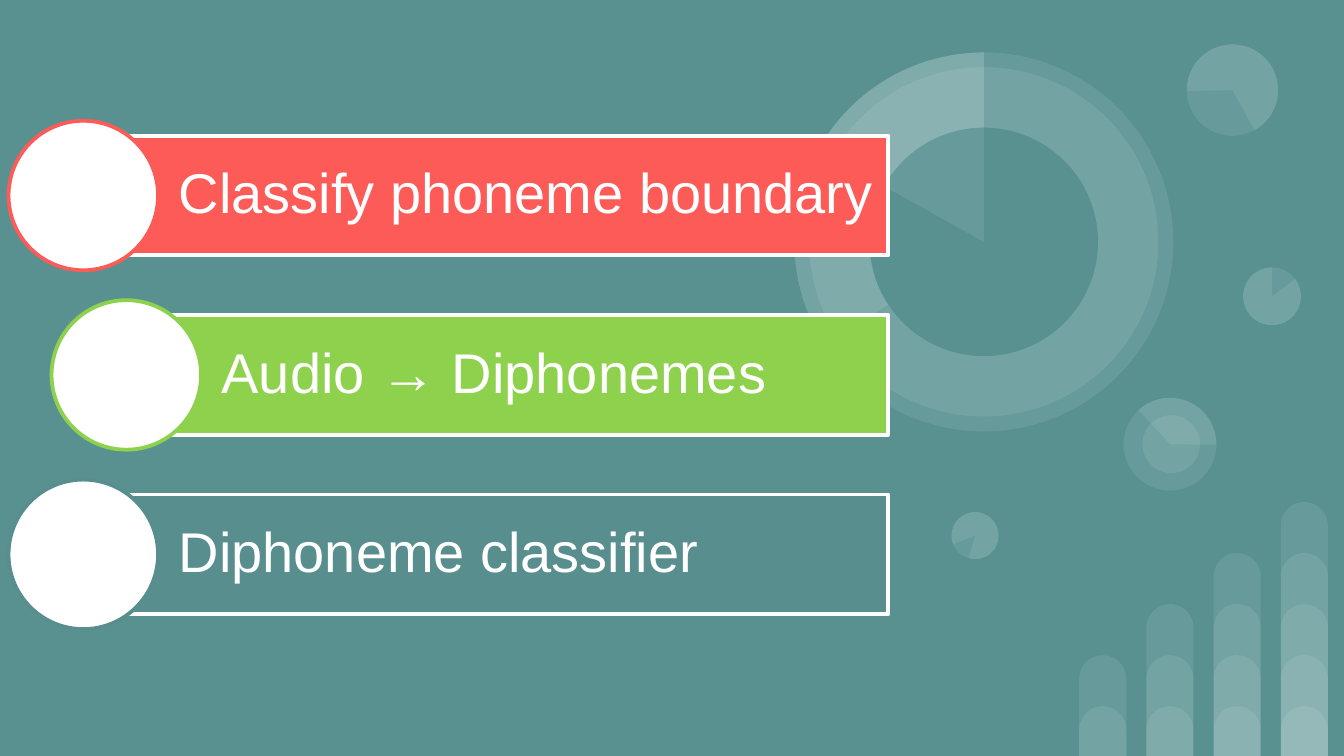
import dataclasses

import pptx
import pptx.dml.color
import pptx.enum.shapes
import pptx.enum.text
import pptx.oxml.ns
import pptx.util
from lxml import etree

Inches = pptx.util.Inches
Shape = pptx.enum.shapes.MSO_SHAPE

PAGE_WIDTH = 10
PAGE_HEIGHT = PAGE_WIDTH * 9 / 16


@dataclasses.dataclass(frozen=True)
class Theme:
    background: str = "599191"
    white: str = "FFFFFF"
    red: str = "FC5B58"
    green: str = "8ED14C"
    teal: str = "598E8E"
    font: str = "Arial"
    text_size: int = 30
    line_width: int = 2
    veil: int = 9  # percent opacity of the decoration


THEME = Theme()


def rgb(color):
    return pptx.dml.color.RGBColor.from_string(color)


def add_figure(page, kind, box, fill, line=None, opacity=None, angles=(), turn=0):
    """Add a preset shape in box = (left, top, width, height)."""
    figure = page.shapes.add_shape(kind, *map(Inches, box))
    figure.shadow.inherit = False
    figure.rotation = turn
    for index, value in enumerate(angles):
        figure.adjustments[index] = value
    figure.fill.solid()
    figure.fill.fore_color.rgb = rgb(fill)
    if opacity is not None:
        color = figure.fill._xPr.find(".//" + pptx.oxml.ns.qn("a:srgbClr"))
        alpha = etree.SubElement(color, pptx.oxml.ns.qn("a:alpha"))
        alpha.set("val", str(opacity * 1000))
    if line:
        figure.line.color.rgb = rgb(line)
        figure.line.width = pptx.util.Pt(THEME.line_width)
    else:
        figure.line.fill.background()
    return figure


def write_text(figure, text, *, size, color, font, left_inset, inset, spacing):
    frame = figure.text_frame
    frame.word_wrap = True
    frame.vertical_anchor = pptx.enum.text.MSO_ANCHOR.MIDDLE
    frame.margin_left = Inches(left_inset)
    frame.margin_top = frame.margin_right = frame.margin_bottom = Inches(inset)
    para = frame.paragraphs[0]
    para.alignment = pptx.enum.text.PP_ALIGN.LEFT
    para.line_spacing = spacing
    span = para.add_run()
    span.text = text
    span.font.size = pptx.util.Pt(size)
    span.font.name = font
    span.font.color.rgb = rgb(color)


def add_veil(page, kind, box, angles=(), turn=0):
    """Add a translucent white decoration."""
    add_figure(page, kind, box, THEME.white, opacity=THEME.veil,
               angles=angles, turn=turn)


def add_columns(page, box):
    """Stacked round-topped columns, each one step taller than the last."""
    left, top, width, height = box
    column_width, first, step = 0.35, 0.37, 0.38
    pitch = (width - column_width) / 3
    for column in range(4):
        for level in range(column + 2):
            tall = first + level * step
            add_veil(page, Shape.ROUND_2_SAME_RECTANGLE,
                     (left + column * pitch, top + height - tall, column_width, tall),
                     angles=(0.5, 0))


def add_sector(page, box, angles, turn=0):
    # Angle adjustments are in 60000ths of a degree, scaled by 100000
    add_veil(page, Shape.PIE, box, [angle * 0.6 for angle in angles], turn)


def add_dial(page, box, angles, turn=0):
    """A disc with a pie sector over it; angles are degrees."""
    add_veil(page, Shape.OVAL, box, turn=turn)
    add_sector(page, box, angles, turn)


def shrink(box, margin):
    left, top, width, height = box
    return left + margin, top + margin, width - 2 * margin, height - 2 * margin


def add_ring(page, box):
    """Large ring with two sectors, one of them crossing the hole."""
    add_veil(page, Shape.OVAL, box)
    add_veil(page, Shape.OVAL, shrink(box, 0.11))
    add_sector(page, box, (146.69, 270))
    add_figure(page, Shape.OVAL, shrink(box, 0.56), THEME.background)
    add_sector(page, box, (209.24, 270))


def add_dials(page, box):
    """Small dials scattered around the ring."""
    left, top = box[:2]
    for x, y, size, angles, turn in (
        (3.34, 1.66, 0.43, (322.95, 270), 0),
        (1.17, 3.48, 0.35, (322.95, 270), 196.2),
        (2.45, 2.63, 0.69, (137.41, 270.77), 90),
        (2.92, 0, 0.68, (322.95, 205.23), 215.9),
    ):
        add_dial(page, (left + x, top + y, size, size), angles, turn)
    # Inner disc of the middle dial
    add_veil(page, Shape.OVAL, (left + 2.59, top + 2.76, 0.43, 0.43), turn=90)


def add_step(page, box, text, color):
    """A labelled bar with a circle centred on its left edge."""
    left, top, width, height = box
    bar = add_figure(page, Shape.RECTANGLE, box, color, line=THEME.white)
    write_text(bar, text, size=THEME.text_size, color=THEME.white, font=THEME.font,
               left_inset=0.71, inset=0.08, spacing=0.9)
    size = height * 1.25
    add_figure(page, Shape.OVAL,
               (left - size / 2, top + (height - size) / 2, size, size),
               THEME.white, line=color)


def add_steps(page, box):
    """Evenly spaced bars that share a right edge."""
    left, top, width, height = box
    steps = (
        ("Classify phoneme boundary", THEME.red, 0),
        ("Audio → Diphonemes", THEME.green, 0.32),
        ("Diphoneme classifier", THEME.teal, 0),
    )
    bar_height = 0.89
    pitch = (height - bar_height) / (len(steps) - 1)
    for index, (text, color, indent) in enumerate(steps):
        add_step(page, (left + indent, top + index * pitch, width - indent, bar_height),
                 text, color)


def main():
    deck = pptx.Presentation()
    deck.slide_width, deck.slide_height = Inches(PAGE_WIDTH), Inches(PAGE_HEIGHT)
    page = deck.slides.add_slide(deck.slide_layouts[6])
    page.background.fill.solid()
    page.background.fill.fore_color.rgb = rgb(THEME.background)

    # Decoration
    add_columns(page, (8.03, PAGE_HEIGHT - 1.89, 1.85, 1.89))
    add_dials(page, (5.91, 0.33, 3.77, 3.83))
    add_ring(page, (5.91, 0.39, 2.82, 2.82))

    # Content
    add_steps(page, (0.62, 1.01, 5.99, 3.56))
    deck.save("out.pptx")


if __name__ == "__main__":
    main()
